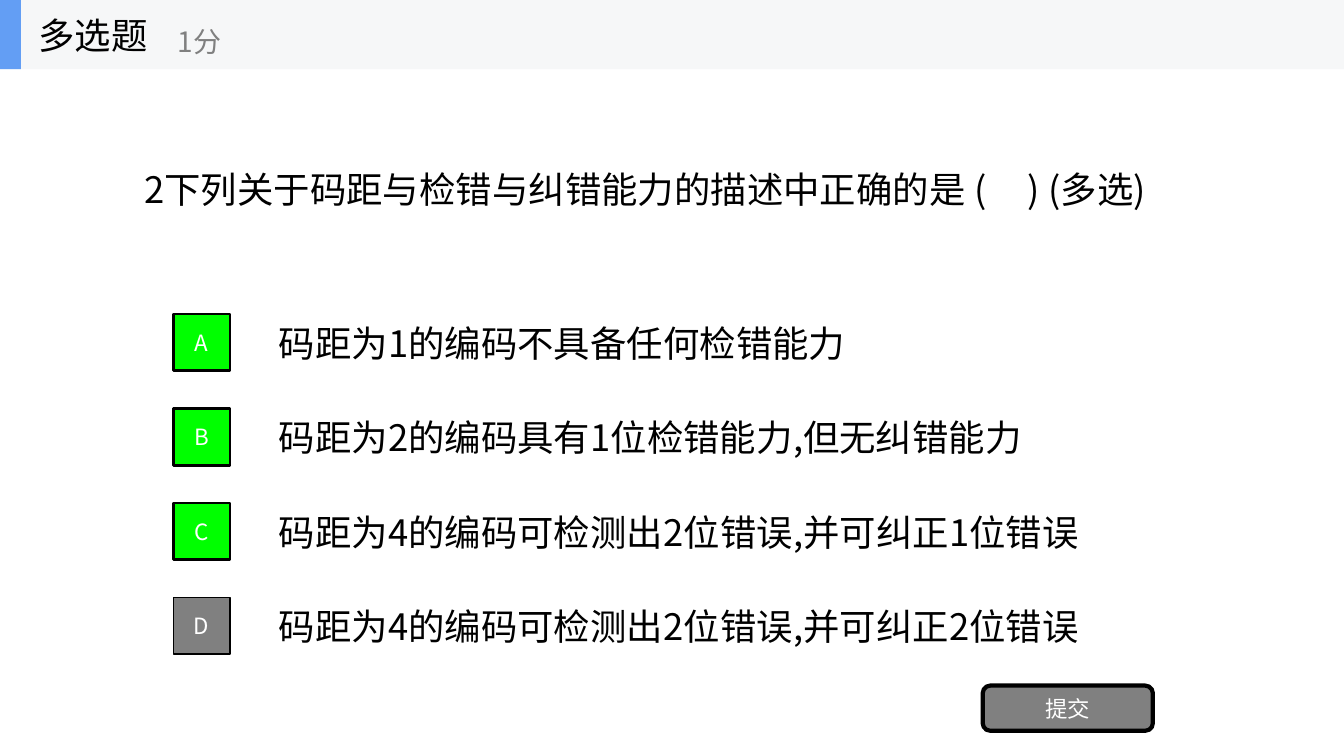
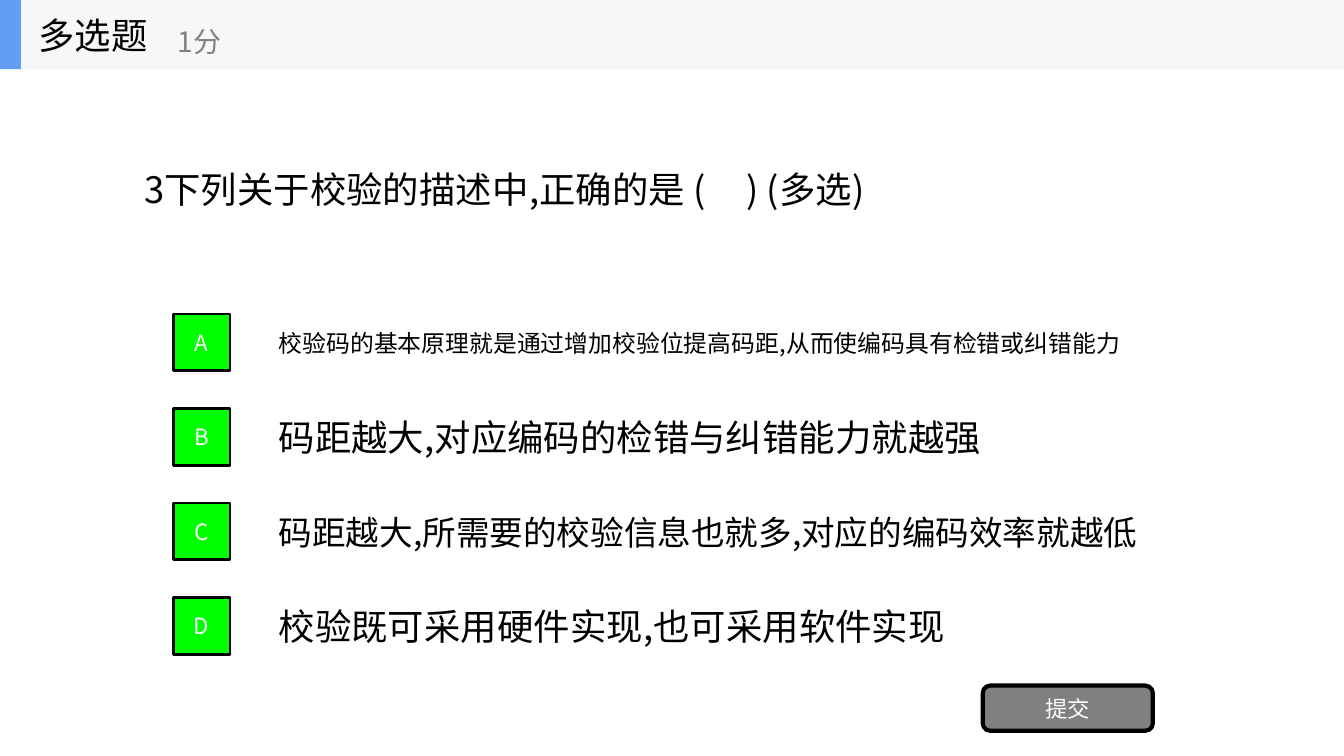
"""Build two multiple-choice quiz slides."""
import dataclasses

import lxml.etree
import pptx
import pptx.dml.color
import pptx.enum.shapes
import pptx.enum.text
import pptx.oxml.ns
import pptx.util

PX = 9525
RECT = pptx.enum.shapes.MSO_SHAPE.RECTANGLE
ROUND = pptx.enum.shapes.MSO_SHAPE.ROUNDED_RECTANGLE
LEFT = pptx.enum.text.PP_ALIGN.LEFT
CENTER = pptx.enum.text.PP_ALIGN.CENTER


@dataclasses.dataclass(frozen=True)
class Theme:
    """Colours, font and type sizes."""
    font: str = "Noto Sans CJK SC"
    ink: str = "000000"
    paper: str = "FFFFFF"
    muted: str = "808080"
    correct: str = "00FF00"
    band: str = "F6F7F8"
    accent: str = "639EF4"
    body: int = 26
    points: int = 20
    label: int = 16


def px(*lengths):
    """Turn pixel lengths into EMU."""
    return [pptx.util.Emu(n * PX) for n in lengths]


def rgb(value):
    """Turn a hex string into a colour."""
    return pptx.dml.color.RGBColor.from_string(value)


def write(sp, text, *, font, size, color, align=LEFT, wrap=True, grow=False):
    """Put one formatted paragraph into a shape."""
    tf = sp.text_frame
    tf.word_wrap = wrap
    tf.vertical_anchor = pptx.enum.text.MSO_ANCHOR.MIDDLE
    if grow:
        tf.auto_size = pptx.enum.text.MSO_AUTO_SIZE.SHAPE_TO_FIT_TEXT
    p = tf.paragraphs[0]
    p.alignment = align
    r = p.add_run()
    r.text = text
    r.font.size = pptx.util.Pt(size)
    r.font.color.rgb = rgb(color)
    r.font.name = font
    ea = lxml.etree.SubElement(r.font._element, pptx.oxml.ns.qn("a:ea"))
    ea.set("typeface", font)


class Quiz:
    """Draw quiz slides in one style."""

    def __init__(self, prs, theme):
        """Keep the presentation and its theme."""
        self.prs, self.theme, self.s = prs, theme, None

    def slide(self):
        """Start a blank slide."""
        self.s = self.prs.slides.add_slide(self.prs.slide_layouts[6])

    def box(self, shapes, kind, at, fill, line=0):
        """Add a filled shape, outlined when a line width is given."""
        sp = shapes.add_shape(kind, *px(*at))
        sp.shadow.inherit = False
        sp.fill.solid()
        sp.fill.fore_color.rgb = rgb(fill)
        if line:
            sp.line.color.rgb = rgb(self.theme.ink)
            sp.line.width = pptx.util.Pt(line)
        else:
            sp.line.fill.background()
        return sp

    def text(self, shapes, text, at, *, size=None, color=None, **fmt):
        """Add a text box."""
        t = self.theme
        write(shapes.add_textbox(*px(*at)), text, font=t.font,
              size=size or t.body, color=color or t.ink, **fmt)

    def button(self, kind, text, at, fill, line):
        """Add an outlined shape with a centred label."""
        t = self.theme
        sp = self.box(self.s.shapes, kind, at, fill, line)
        write(sp, text, font=t.font, size=t.label, color=t.paper, align=CENTER)

    def header(self, title, points):
        """Add the grouped title band."""
        t = self.theme
        shapes = self.s.shapes.add_group_shape().shapes
        self.box(shapes, RECT, (0, 0, 1280, 66), t.band)
        self.box(shapes, RECT, (0, 0, 20, 66), t.accent)
        self.text(shapes, title, (27, 0, 200, 66), wrap=False)
        self.text(shapes, points, (160, 12, 240, 54), size=t.points,
                  color=t.muted, wrap=False)

    def option(self, index, text, width, correct=True, size=None):
        """Add one answer with its letter badge."""
        t = self.theme
        top = 299 + 90 * index
        self.text(self.s.shapes, text, (256, top + 2, width, 51), size=size,
                  grow=True)
        self.button(RECT, "ABCD"[index], (165, top, 54, 54),
                    t.correct if correct else t.muted, 2 if correct else 1)

    def question(self, text, width, options):
        """Build one whole question slide."""
        self.slide()
        self.text(self.s.shapes, text, (128, 154, width, 51), grow=True)
        for i, option in enumerate(options):
            self.option(i, **option)
        self.button(ROUND, "提交", (936, 653, 162, 43), self.theme.muted, 3)
        self.header("多选题", "1分")


QUESTIONS = [
    ("2下列关于码距与检错与纠错能力的描述中正确的是 (     ) (多选)", 1000, [
        dict(text="码距为1的编码不具备任何检错能力", width=570),
        dict(text="码距为2的编码具有1位检错能力,但无纠错能力", width=737),
        dict(text="码距为4的编码可检测出2位错误,并可纠正1位错误", width=792),
        dict(text="码距为4的编码可检测出2位错误,并可纠正2位错误", width=792,
             correct=False),
    ]),
    ("3下列关于校验的描述中,正确的是 (     ) (多选)", 732, [
        dict(text="校验码的基本原理就是通过增加校验位提高码距,从而使编码具有检错或纠错能力",
             width=825, size=17),
        dict(text="码距越大,对应编码的检错与纠错能力就越强", width=697),
        dict(text="码距越大,所需要的校验信息也就多,对应的编码效率就越低",
             width=844, size=24),
        dict(text="校验既可采用硬件实现,也可采用软件实现", width=661),
    ]),
]


def main():
    """Build and save the deck."""
    prs = pptx.Presentation()
    prs.slide_width, prs.slide_height = px(1280, 720)
    quiz = Quiz(prs, Theme())
    for question in QUESTIONS:
        quiz.question(*question)
    prs.save("out.pptx")


if __name__ == "__main__":
    main()
